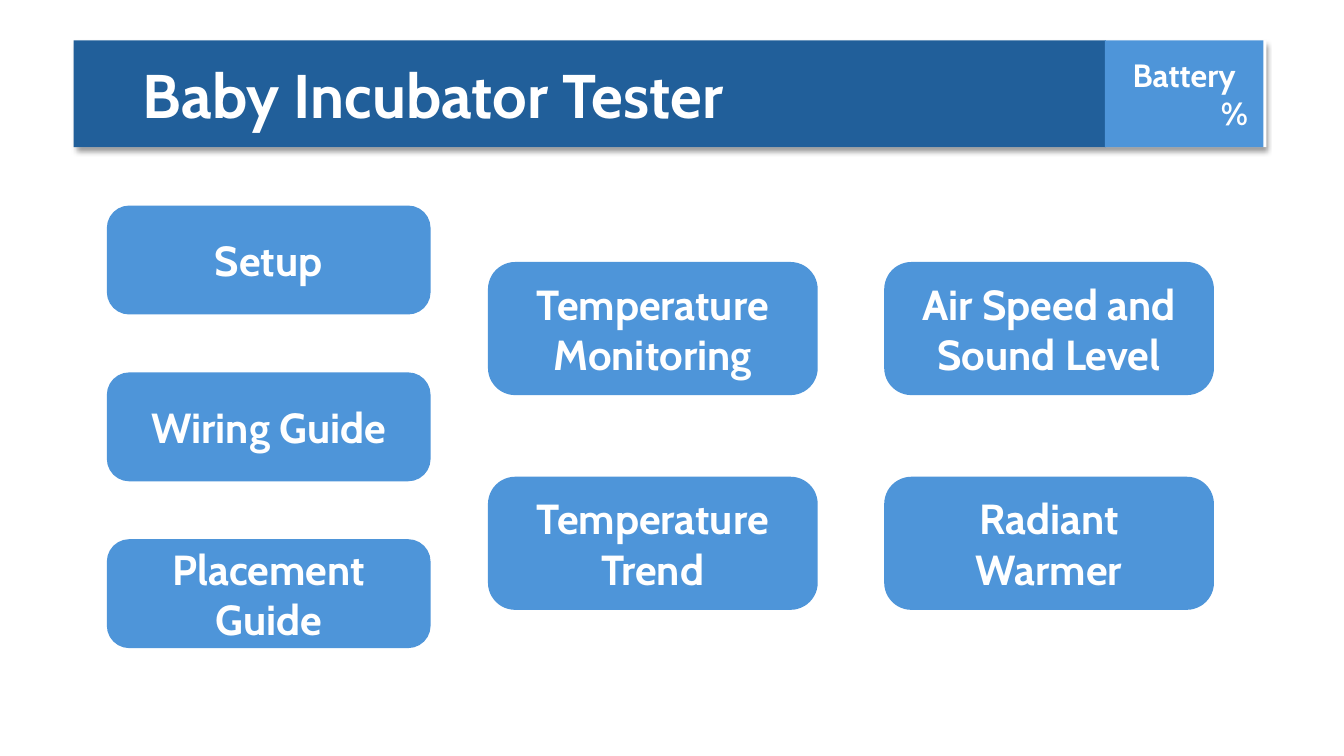
from pptx import Presentation
from pptx.dml.color import RGBColor
from pptx.enum.shapes import MSO_SHAPE
from pptx.enum.text import MSO_ANCHOR, PP_ALIGN
from pptx.oxml import parse_xml
from pptx.oxml.ns import nsdecls
from pptx.util import Pt

PX = 914400 // 100
FONT = "Cabin"
WHITE, BLUE, NAVY = "FFFFFF", "4E95D9", "215F9A"

TITLE = "Baby Incubator Tester"
BATTERY = [("Battery", 0), ("%", 100)]
COLUMNS = [
    (107, 205, 319, 106, 165.5, ["Setup", "Wiring Guide", "Placement Guide"]),
    (485, 261, 325, 130, 213, ["Temperature Monitoring", "Temperature Trend"]),
    (878, 261, 325, 130, 213, ["Air Speed and Sound Level", "Radiant Warmer"]),
]
TOP, HIGH = 40, 106


def color(code):
    return RGBColor.from_string(code)


def add_box(kind, left, top, width, height, fill):
    box = slide.shapes.add_shape(kind, *(round(n * PX) for n in (left, top, width, height)))
    box.shadow.inherit = False
    box.fill.solid()
    box.fill.fore_color.rgb = color(fill)
    box.line.fill.background()
    return box


def add_text(box, lines, size, align):
    frame = box.text_frame
    frame.word_wrap = True
    frame.vertical_anchor = MSO_ANCHOR.MIDDLE
    for row, (text, indent) in enumerate(lines):
        para = frame.add_paragraph() if row else frame.paragraphs[0]
        para.text = text
        para.alignment = align
        para.font.name = FONT
        para.font.size = Pt(size)
        para.font.bold = True
        para.font.color.rgb = color(WHITE)
        if indent:
            props = para._p.get_or_add_pPr()
            props.set("marL", str(indent * PX))
            props.set("indent", "0")


def add_shadow(box):
    effect = box._element.spPr.find("{http://schemas.openxmlformats.org/drawingml/2006/main}effectLst")
    effect.append(parse_xml(
        f'<a:outerShdw {nsdecls("a")} blurRad="{Pt(4)}" dist="{Pt(3)}" dir="5400000" '
        'algn="t" rotWithShape="0"><a:srgbClr val="000000"><a:alpha val="40000"/>'
        '</a:srgbClr></a:outerShdw>'))


deck = Presentation()
deck.slide_width, deck.slide_height = 1333 * PX, 750 * PX
slide = deck.slides.add_slide(deck.slide_layouts[6])

for left, top, width, height, step, names in COLUMNS:
    for row, name in enumerate(names):
        button = add_box(MSO_SHAPE.ROUNDED_RECTANGLE, left, top + row * step, width, height, BLUE)
        button.adjustments[0] = 0.2
        button.line.color.rgb = color(BLUE)
        button.line.width = Pt(1.5)
        add_text(button, [(name, 0)], 30, PP_ALIGN.CENTER)

add_shadow(add_box(MSO_SHAPE.RECTANGLE, 75, TOP, 1181, HIGH, WHITE))
banner = add_box(MSO_SHAPE.RECTANGLE, 73, TOP, 1024, HIGH, NAVY)
add_text(banner, [(TITLE, 59)], 44, PP_ALIGN.LEFT)
status = add_box(MSO_SHAPE.RECTANGLE, 1096, TOP, 157, HIGH, BLUE)
add_text(status, BATTERY, 23, PP_ALIGN.CENTER)

deck.save("out.pptx")
